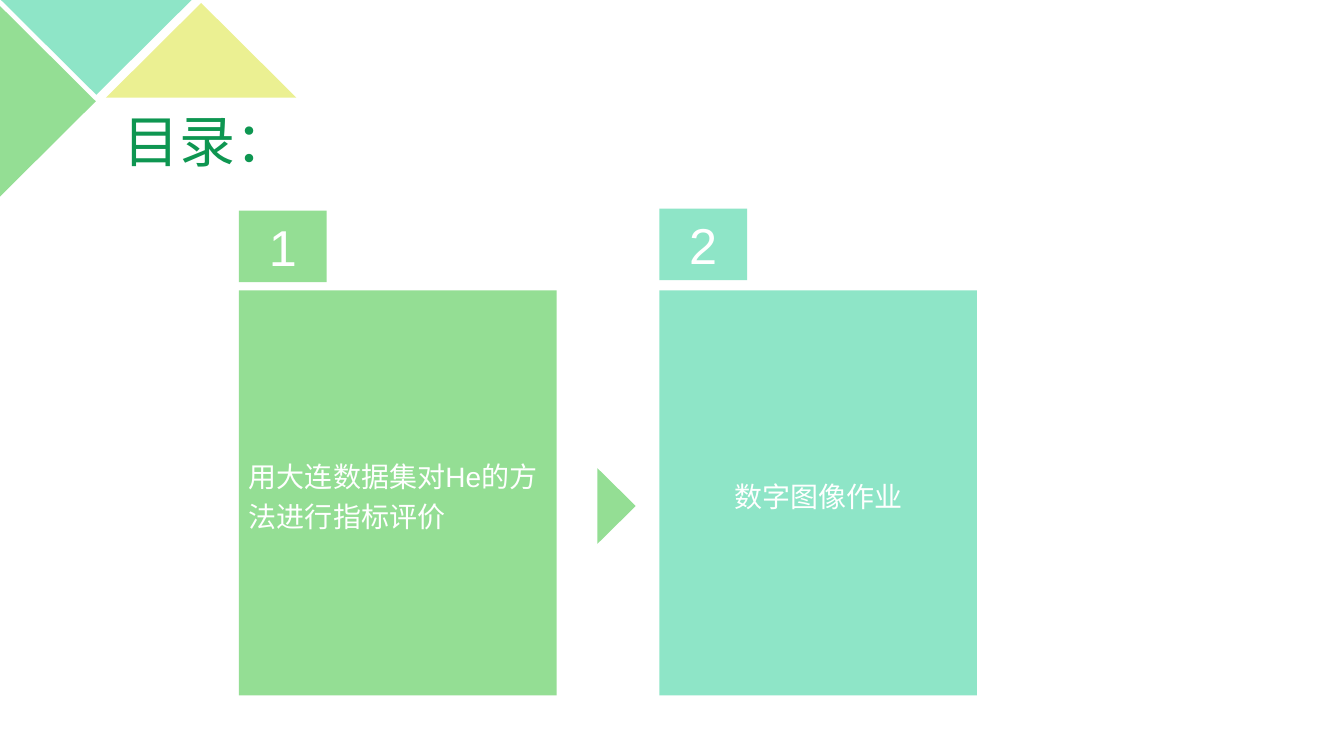
from pptx import Presentation
from pptx.dml.color import RGBColor
from pptx.enum.shapes import MSO_SHAPE
from pptx.enum.text import MSO_ANCHOR, PP_ALIGN
from pptx.util import Inches, Pt

THEME = {
    "green": "94DE94", "mint": "8EE5C7", "yellow": "EBF092",
    "title": "0E9651", "white": "FFFFFF", "font": "Arial",
    "head": 40, "number": 36, "body": 20,
}

deck = Presentation()
deck.slide_width = Inches(13.33)
deck.slide_height = Inches(7.5)
slide = deck.slides.add_slide(deck.slide_layouts[6])


def add_block(kind, box, fill, turn=0):
    block = slide.shapes.add_shape(kind, *map(Inches, box))
    block.shadow.inherit = False
    block.fill.solid()
    block.fill.fore_color.rgb = RGBColor.from_string(THEME[fill])
    block.line.fill.background()
    block.rotation = turn
    return block


def write(shape, text, size="body", color="white", align=PP_ALIGN.CENTER, space=1.0):
    frame = shape.text_frame
    frame.word_wrap = True
    frame.vertical_anchor = MSO_ANCHOR.MIDDLE
    line = frame.paragraphs[0]
    line.alignment = align
    line.line_spacing = space
    run = line.add_run()
    run.text = text
    run.font.name = THEME["font"]
    run.font.size = Pt(THEME[size])
    run.font.color.rgb = RGBColor.from_string(THEME[color])


for box, fill, turn in [
    ((-0.47, 0.53, 1.89, 0.95), "green", 90),
    ((0.01, 0, 1.89, 0.94), "mint", 180),
    ((1.05, 0.03, 1.89, 0.94), "yellow", 0),
    ((5.74, 4.83, 0.75, 0.38), "green", 90),
]:
    add_block(MSO_SHAPE.ISOSCELES_TRIANGLE, box, fill, turn)

for number, left, top, fill, topic, align in [
    ("1", 2.37, 2.09, "green", "用大连数据集对He的方法进行指标评价", PP_ALIGN.LEFT),
    ("2", 6.54, 2.07, "mint", "数字图像作业", PP_ALIGN.CENTER),
]:
    card = add_block(MSO_SHAPE.RECTANGLE, (left, 2.88, 3.15, 4.02), fill)
    write(card, topic, align=align, space=1.2)
    badge = add_block(MSO_SHAPE.RECTANGLE, (left, top, 0.87, 0.71), fill)
    write(badge, number, size="number")

title = slide.shapes.add_textbox(*map(Inches, (1.13, 1.01, 10.32, 0.77)))
write(title, "目录：", size="head", color="title", align=PP_ALIGN.LEFT)

deck.save("out.pptx")
